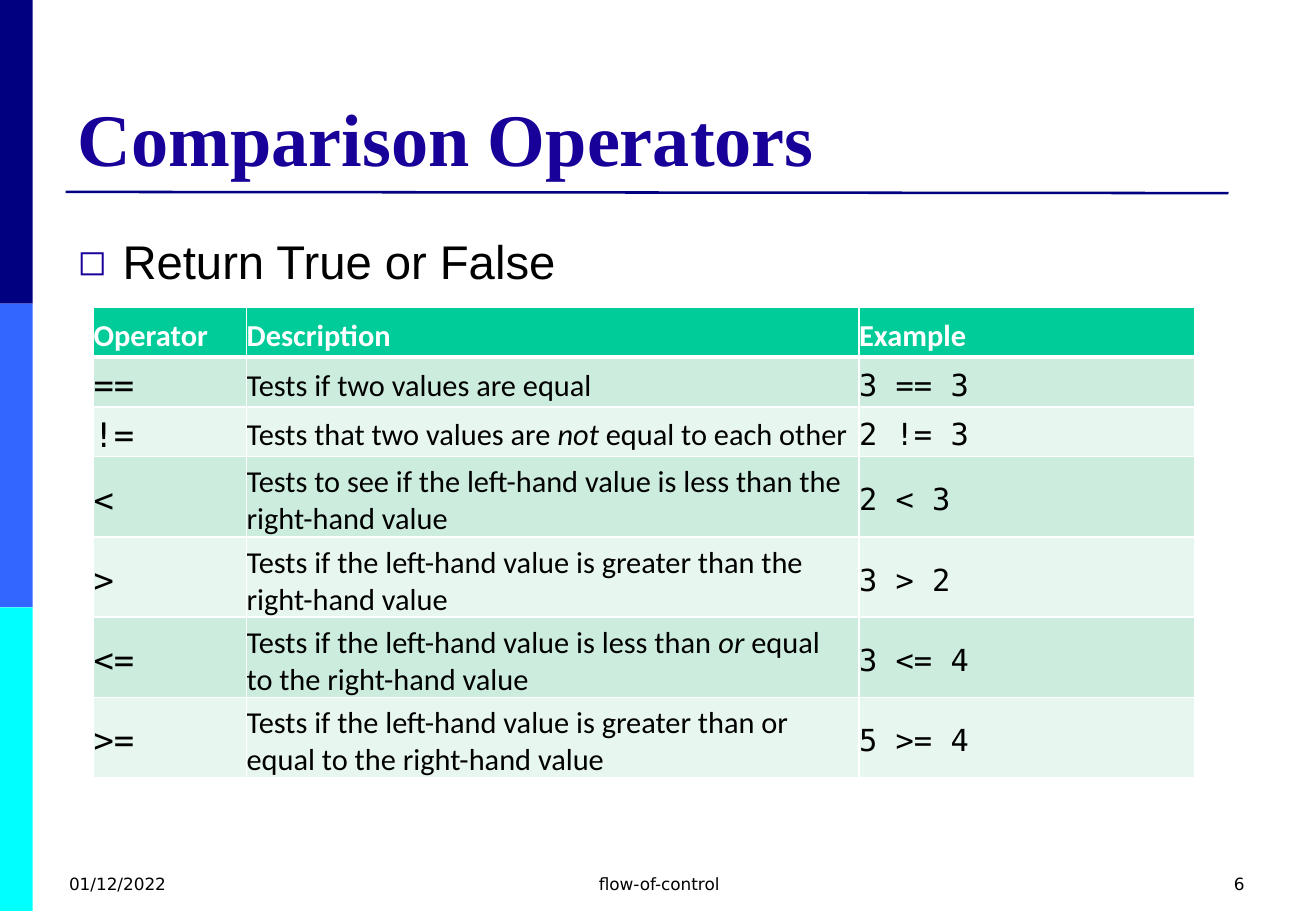
from lxml.etree import SubElement
from pptx import Presentation
from pptx.dml.color import RGBColor
from pptx.enum.shapes import MSO_CONNECTOR, MSO_SHAPE
from pptx.enum.text import MSO_ANCHOR, PP_ALIGN
from pptx.oxml.ns import qn
from pptx.util import Emu, Pt

SCALE = 9144  # EMU per px, 100 px to the inch
WIDTH, HEIGHT = 1083, 750
COLORS = {
    "navy": "000080", "blue": "3366FF", "cyan": "00FFFF", "title": "170199",
    "black": "000000", "white": "FFFFFF", "header": "00CC99",
    "odd": "CCECDE", "even": "E7F6EF",
}
SERIF, SANS, BODY, FOOT, MONO = (
    "Times New Roman", "Arial", "Calibri", "DejaVu Sans", "DejaVu Sans Mono")

COLUMN_WIDTHS = (126, 504, 276)
ONE_LINE, TWO_LINES = 41, 66
HEADINGS = ("Operator", "Description", "Example")
# Symbol, description (every second part in italics), example, row height
OPERATORS = (
    ("==", ("Tests if two values are equal",), "3 == 3", ONE_LINE),
    ("!=", ("Tests that two values are ", "not", " equal to each other"),
     "2 != 3", ONE_LINE),
    ("<", ("Tests to see if the left-hand value is less than the right-hand value",),
     "2 < 3", TWO_LINES),
    (">", ("Tests if the left-hand value is greater than the right-hand value",),
     "3 > 2", TWO_LINES),
    ("<=", ("Tests if the left-hand value is less than ", "or",
            " equal to the right-hand value"), "3 <= 4", TWO_LINES),
    (">=", ("Tests if the left-hand value is greater than or equal to the right-hand value",),
     "5 >= 4", TWO_LINES),
)


def px(length):
    return Emu(length * SCALE)


def rgb(name):
    return RGBColor.from_string(COLORS[name])


def add_span(para, text, size=18, font=BODY, color="black", bold=False, italic=False):
    span = para.add_run()
    span.text = text
    span.font.size = Pt(size)
    span.font.name = font
    span.font.color.rgb = rgb(color)
    span.font.bold = bold
    span.font.italic = italic


def add_text(page, box, text, anchor=MSO_ANCHOR.TOP, align=PP_ALIGN.LEFT, **style):
    frame = page.shapes.add_textbox(*map(px, box)).text_frame
    frame.word_wrap = True
    frame.vertical_anchor = anchor
    para = frame.paragraphs[0]
    para.alignment = align
    add_span(para, text, **style)
    return para


def add_bullet(para, indent):
    properties = para._p.get_or_add_pPr()
    properties.set("marL", str(px(indent)))
    properties.set("indent", str(px(-indent)))
    color = SubElement(properties, qn("a:buClr"))
    SubElement(color, qn("a:srgbClr"), val=COLORS["title"])
    SubElement(properties, qn("a:buSzPct"), val="75000")
    SubElement(properties, qn("a:buFont"), typeface=FOOT)
    SubElement(properties, qn("a:buChar"), char="◻")


def draw_sidebar(page, box):
    left, top, width, height = box
    bands = ("navy", "blue", "cyan")
    band_height = height // len(bands)
    for index, color in enumerate(bands):
        band = page.shapes.add_shape(
            MSO_SHAPE.RECTANGLE,
            *map(px, (left, top + index * band_height, width, band_height)))
        band.shadow.inherit = False
        band.fill.solid()
        band.fill.fore_color.rgb = rgb(color)
        band.line.fill.background()


def draw_title(page, box):
    left, top, width, height = box
    rule = page.shapes.add_connector(
        MSO_CONNECTOR.STRAIGHT,
        *map(px, (left, top + height + 4, left + 957, top + height + 5)))
    rule.line.color.rgb = rgb("navy")
    rule.line.width = Pt(1.5)
    SubElement(rule._element.spPr, qn("a:effectLst"))
    add_text(page, box, "Comparison Operators", anchor=MSO_ANCHOR.BOTTOM,
             size=44, font=SERIF, color="title", bold=True)


def draw_body(page, box):
    para = add_text(page, box, "Return True or False", size=28, font=SANS)
    add_bullet(para, 37)
    para.line_spacing = 1.25


def add_borders(cell, bottom):
    properties = cell._tc.get_or_add_tcPr()
    for side, points in (("L", 1), ("R", 1), ("T", 1), ("B", bottom)):
        border = SubElement(properties, qn(f"a:ln{side}"), w=str(Pt(points)))
        fill = SubElement(border, qn("a:solidFill"))
        SubElement(fill, qn("a:srgbClr"), val=COLORS["white"])


def fill_cell(cell, parts, fill, bottom=1, **style):
    add_borders(cell, bottom)
    cell.fill.solid()
    cell.fill.fore_color.rgb = rgb(fill)
    cell.vertical_anchor = MSO_ANCHOR.MIDDLE
    cell.margin_left = cell.margin_bottom = 0
    cell.margin_top = cell.margin_right = px(6)
    para = cell.text_frame.paragraphs[0]
    for index, part in enumerate(parts):
        add_span(para, part, italic=index % 2 == 1, **style)


def draw_table(page, box):
    table = page.shapes.add_table(
        len(OPERATORS) + 1, len(HEADINGS), *map(px, box)).table
    table.first_row = table.horz_banding = False
    for column, width in zip(table.columns, COLUMN_WIDTHS):
        column.width = px(width)
    # Header row
    table.rows[0].height = px(ONE_LINE)
    for index, heading in enumerate(HEADINGS):
        fill_cell(table.cell(0, index), (heading,), "header", bottom=3,
                  color="white", bold=True)
    # One row per operator, in alternating tints
    for row, (symbol, description, example, height) in enumerate(OPERATORS, 1):
        fill = "odd" if row % 2 else "even"
        table.rows[row].height = px(height)
        fill_cell(table.cell(row, 0), (symbol,), fill, size=20, font=MONO)
        fill_cell(table.cell(row, 1), description, fill)
        fill_cell(table.cell(row, 2), (example,), fill, font=MONO)


def draw_footer(page, box):
    left, top, width, height = box
    for offset, part_width, text, align in (
        (0, 253, "01/12/2022", PP_ALIGN.LEFT),
        (324, 343, "flow-of-control", PP_ALIGN.CENTER),
        (width - 253, 253, "6", PP_ALIGN.RIGHT),
    ):
        add_text(page, (left + offset, top, part_width, height), text,
                 align=align, size=10, font=FOOT)


def main():
    deck = Presentation()
    deck.slide_width, deck.slide_height = px(WIDTH), px(HEIGHT)
    page = deck.slides.add_slide(deck.slide_layouts[6])
    draw_sidebar(page, (0, 0, 27, HEIGHT))
    draw_title(page, (54, 30, 975, 124))
    draw_body(page, (54, 175, 975, 495))
    draw_footer(page, (47, 714, 987, 36))
    draw_table(page, (77, 253, 906, 384))
    deck.save("out.pptx")


if __name__ == "__main__":
    main()
